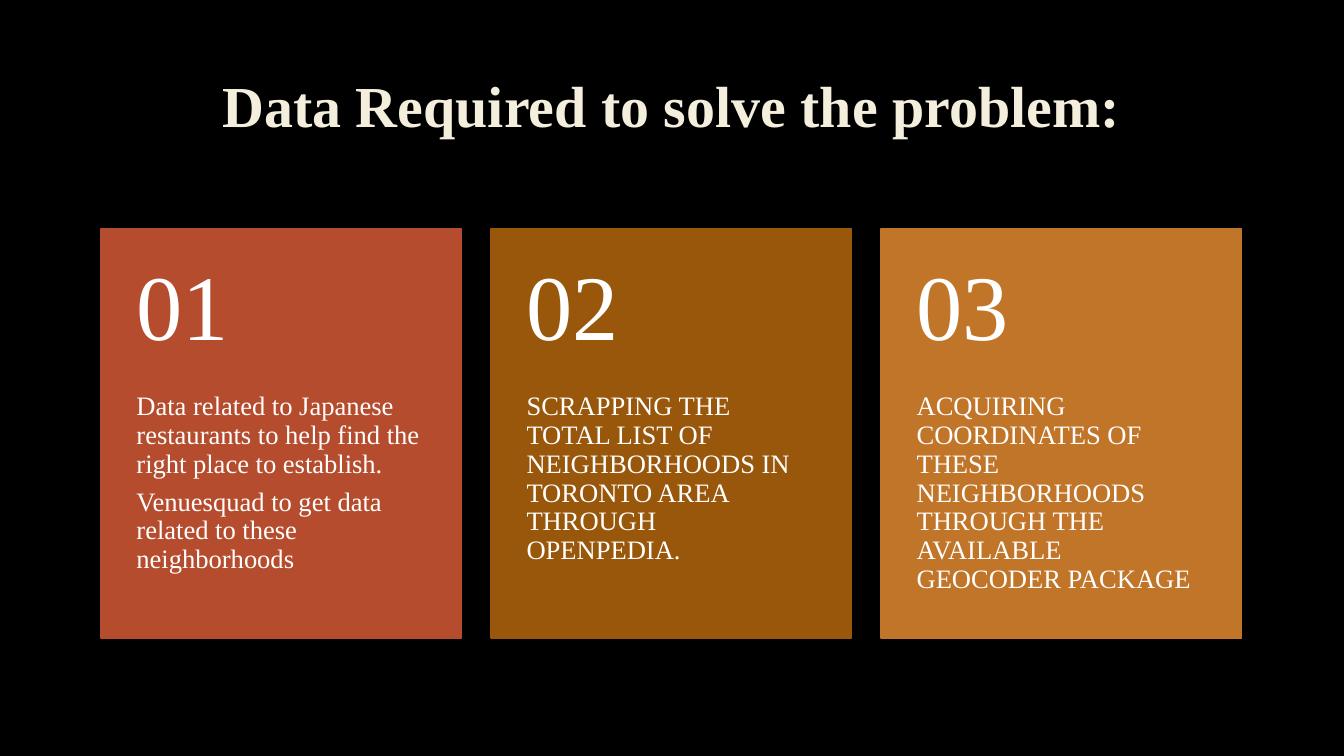
from pptx import Presentation
from pptx import util as u
from pptx.dml.color import RGBColor
from pptx.enum import shapes, text

FONT = "Times New Roman"
COLORS = {
    "background": "000000",
    "title": "F4EEDC",
    "text": "FFFFFF",
    "red": "B54C2D",
    "brown": "99570C",
    "orange": "C17529",
}
CARDS = [
    ("red", [
        "Data related to Japanese restaurants to help find the right place to establish.",
        "Venuesquad to get data related to these neighborhoods",
    ]),
    ("brown", [
        "SCRAPPING THE TOTAL LIST OF NEIGHBORHOODS IN TORONTO AREA THROUGH OPENPEDIA.",
    ]),
    ("orange", [
        "ACQUIRING COORDINATES OF THESE NEIGHBORHOODS THROUGH THE AVAILABLE GEOCODER PACKAGE",
    ]),
]
LEFT, TOP = u.Cm(2.54), u.Cm(5.77)
CARD_W, CARD_H = u.Cm(9.09), u.Cm(10.31)
PITCH = u.Cm(9.83)
NUMBER_H = u.Cm(4.13)


def rgb(name):
    return RGBColor.from_string(COLORS[name])


def style(p, size, color):
    p.font.name = FONT
    p.font.size = u.Pt(size)
    p.font.color.rgb = rgb(color)
    p.line_spacing = 0.9


def add_title(s, title):
    sp = s.shapes.title
    sp.left, sp.top = LEFT, u.Cm(1.7)
    sp.width, sp.height = u.Cm(28.75), u.Cm(3.5)
    tf = sp.text_frame
    tf.text = title
    tf.auto_size = text.MSO_AUTO_SIZE.NONE
    tf.vertical_anchor = text.MSO_ANCHOR.TOP
    tf.margin_top = u.Cm(0.24)
    p = tf.paragraphs[0]
    p.alignment = text.PP_ALIGN.CENTER
    p.font.bold = True
    style(p, 41.4, "title")


def add_panel(group, left, color):
    sp = group.shapes.add_shape(
        shapes.MSO_SHAPE.RECTANGLE, left, TOP, CARD_W, CARD_H)
    sp.shadow.inherit = False
    sp.fill.solid()
    sp.fill.fore_color.rgb = rgb(color)
    sp.line.color.rgb = rgb(color)
    sp.line.width = u.Pt(1.25)


def add_text(group, left, top, height, lines, size, anchor, margins):
    tf = group.shapes.add_textbox(left, top, CARD_W, height).text_frame
    tf.word_wrap = True
    tf.vertical_anchor = anchor
    tf.margin_left = tf.margin_right = u.Cm(0.9)
    tf.margin_top, tf.margin_bottom = (u.Cm(m) for m in margins)
    tf.text = "\n".join(lines)
    for p in tf.paragraphs:
        style(p, size, "text")
        p.space_after = u.Pt(round(size * 0.35, 1))


def add_card(group, index, color, lines):
    left = LEFT + index * PITCH
    add_panel(group, left, color)
    add_text(group, left, TOP + NUMBER_H, CARD_H - NUMBER_H, lines, 19,
             text.MSO_ANCHOR.TOP, (0, 0.9))
    add_text(group, left, TOP, NUMBER_H, [f"{index + 1:02}"], 66,
             text.MSO_ANCHOR.MIDDLE, (0.45, 0.45))


def main():
    prs = Presentation()
    prs.slide_width, prs.slide_height = u.Cm(33.87), u.Cm(19.05)
    s = prs.slides.add_slide(prs.slide_layouts.get_by_name("Title Only"))
    s.background.fill.solid()
    s.background.fill.fore_color.rgb = rgb("background")
    add_title(s, "Data Required to solve the problem:")
    group = s.shapes.add_group_shape()
    for index, (color, lines) in enumerate(CARDS):
        add_card(group, index, color, lines)
    prs.save("out.pptx")


if __name__ == "__main__":
    main()
